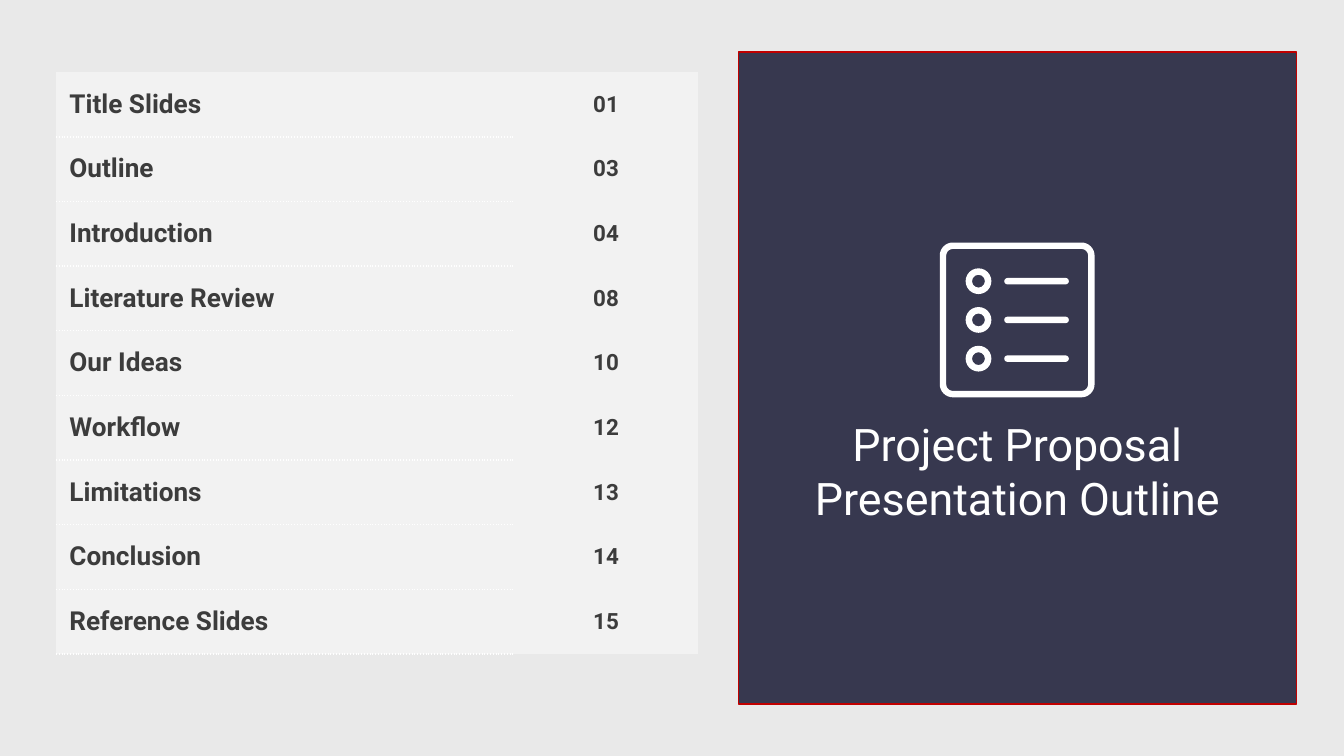
from math import cos, pi, sin

from lxml.etree import SubElement
from pptx import Presentation
from pptx.dml.color import RGBColor
from pptx.enum.shapes import MSO_SHAPE
from pptx.enum.text import MSO_ANCHOR, MSO_AUTO_SIZE, PP_ALIGN
from pptx.oxml.ns import qn
from pptx.util import Pt

COLORS = {
    "background": "E9E9E9",
    "panel": "37384F",
    "panel_line": "C00000",
    "cell": "F2F2F2",
    "text": "3C3C3C",
    "white": "FFFFFF",
}
NO_TABLE_STYLE = "{2D5ABB26-0587-4C30-8999-92F81FD0307C}"
OUTLINE = [
    ("Title Slides", "01"),
    ("Outline", "03"),
    ("Introduction", "04"),
    ("Literature Review", "08"),
    ("Our Ideas", "10"),
    ("Workflow", "12"),
    ("Limitations", "13"),
    ("Conclusion", "14"),
    ("Reference Slides", "15"),
]


def rounded_square(center_x, center_y, size, radius, steps=8):
    reach = size / 2 - radius
    points = []
    for corner, (side_x, side_y) in enumerate([(1, 1), (-1, 1), (-1, -1), (1, -1)]):
        for step in range(steps + 1):
            angle = (corner + step / steps) * pi / 2
            points.append((
                Pt(center_x + side_x * reach + radius * cos(angle)),
                Pt(center_y + side_y * reach + radius * sin(angle)),
            ))
    return points


class SlideBuilder:
    font = "Roboto"

    def __init__(self, deck):
        self.page = deck.slides.add_slide(deck.slide_layouts[5])
        self.fill(self.page.background, "background")

    def color(self, name):
        return RGBColor.from_string(COLORS[name])

    def fill(self, target, name):
        target.fill.solid()
        target.fill.fore_color.rgb = self.color(name)

    def add_text(self, frame, text, color, align=PP_ALIGN.LEFT, **formats):
        para = frame.paragraphs[0]
        para.alignment = align
        span = para.add_run()
        span.text = text
        for name, value in {"name": self.font, **formats}.items():
            setattr(span.font, name, value)
        span.font.color.rgb = self.color(color)

    def finish(self, box, fill, line=None):
        box.shadow.inherit = False
        self.fill(box, fill)
        if line:
            box.line.color.rgb = self.color(line)
            box.line.width = Pt(0.75)
        else:
            box.line.fill.background()

    def shape(self, kind, left, top, width, height, fill, line=None, adjust=None):
        box = self.page.shapes.add_shape(kind, Pt(left), Pt(top), Pt(width), Pt(height))
        if adjust is not None:
            box.adjustments[0] = adjust
        self.finish(box, fill, line)

    def square_frame(self, center_x, center_y, size, radius, thickness, fill):
        outer = rounded_square(center_x, center_y, size, radius)
        inner = rounded_square(center_x, center_y, size - 2 * thickness, radius - thickness)
        inner.reverse()
        builder = self.page.shapes.build_freeform(*outer[0], scale=1.0)
        builder.add_line_segments(outer[1:], close=True)
        builder.move_to(*inner[0])
        builder.add_line_segments(inner[1:], close=True)
        self.finish(builder.convert_to_shape(), fill)

    def dotted_border(self, cell, edges):
        properties = cell._tc.get_or_add_tcPr()
        for position, edge in enumerate(edges):
            line = SubElement(properties, qn(f"a:{edge}"), w=str(Pt(1)))
            paint = SubElement(line, qn("a:solidFill"))
            SubElement(paint, qn("a:srgbClr"), val=COLORS["white"])
            SubElement(line, qn("a:prstDash"), val="sysDot")
            properties.insert(position, line)

    def table(self, left, top, widths, row_height, rows):
        frame = self.page.shapes.add_table(
            len(rows), len(widths), Pt(left), Pt(top), Pt(sum(widths)), Pt(row_height * len(rows))
        )
        grid = frame.table
        grid.first_row = grid.horz_banding = False
        grid._tbl.tblPr.find(qn("a:tableStyleId")).text = NO_TABLE_STYLE
        for column, width in zip(grid.columns, widths):
            column.width = Pt(width)
        styles = [(14, PP_ALIGN.LEFT), (12, PP_ALIGN.CENTER)]
        for index, values in enumerate(rows):
            grid.rows[index].height = Pt(row_height)
            for column, (text, (size, align)) in enumerate(zip(values, styles)):
                cell = grid.cell(index, column)
                cell.vertical_anchor = MSO_ANCHOR.MIDDLE
                for side in ("left", "right", "top", "bottom"):
                    setattr(cell, f"margin_{side}", Pt(7.2))
                self.fill(cell, "cell")
                self.add_text(cell.text_frame, text, "text", align, size=Pt(size), bold=True)
            self.dotted_border(grid.cell(index, 0), ["lnT", "lnB"] if index else ["lnB"])

    def title(self, text, left, top, width, height):
        box = self.page.shapes.title
        placement = {"left": left, "top": top, "width": width, "height": height}
        for name, value in placement.items():
            setattr(box, name, Pt(value))
        formats = {
            "word_wrap": True,
            "auto_size": MSO_AUTO_SIZE.SHAPE_TO_FIT_TEXT,
            "vertical_anchor": MSO_ANCHOR.MIDDLE,
            "margin_left": 0,
            "margin_right": 0,
            "margin_top": 0,
            "margin_bottom": 0,
        }
        for name, value in formats.items():
            setattr(box.text_frame, name, value)
        self.add_text(box.text_frame, text, "white", PP_ALIGN.CENTER, size=Pt(24), bold=False)
        box.element.getparent().append(box.element)

    def list_icon(self, center_x, center_y):
        size, stroke, ring, pitch = 82.9, 3.45, 13.8, 20.75
        self.square_frame(center_x, center_y, size, 7, stroke, "white")
        for row in (-1, 0, 1):
            middle = center_y + row * pitch
            self.shape(MSO_SHAPE.DONUT, center_x - 27.6, middle - ring / 2,
                       ring, ring, "white", adjust=stroke / ring)
            self.shape(MSO_SHAPE.ROUNDED_RECTANGLE, center_x - 6.9, middle - stroke / 2,
                       34.6, stroke, "white", adjust=0.5)


def main():
    deck = Presentation()
    deck.slide_width, deck.slide_height = Pt(720), Pt(405)
    slide = SlideBuilder(deck)
    slide.shape(MSO_SHAPE.RECTANGLE, 395.5, 27.8, 299, 349.4, "panel", line="panel_line")
    slide.table(30, 38.6, [245.6, 98.2], 34.65, OUTLINE)
    slide.list_icon(544.9, 171.4)
    slide.title("Project Proposal Presentation Outline", 413, 222.8, 264, 58.2)
    deck.save("out.pptx")


if __name__ == "__main__":
    main()
